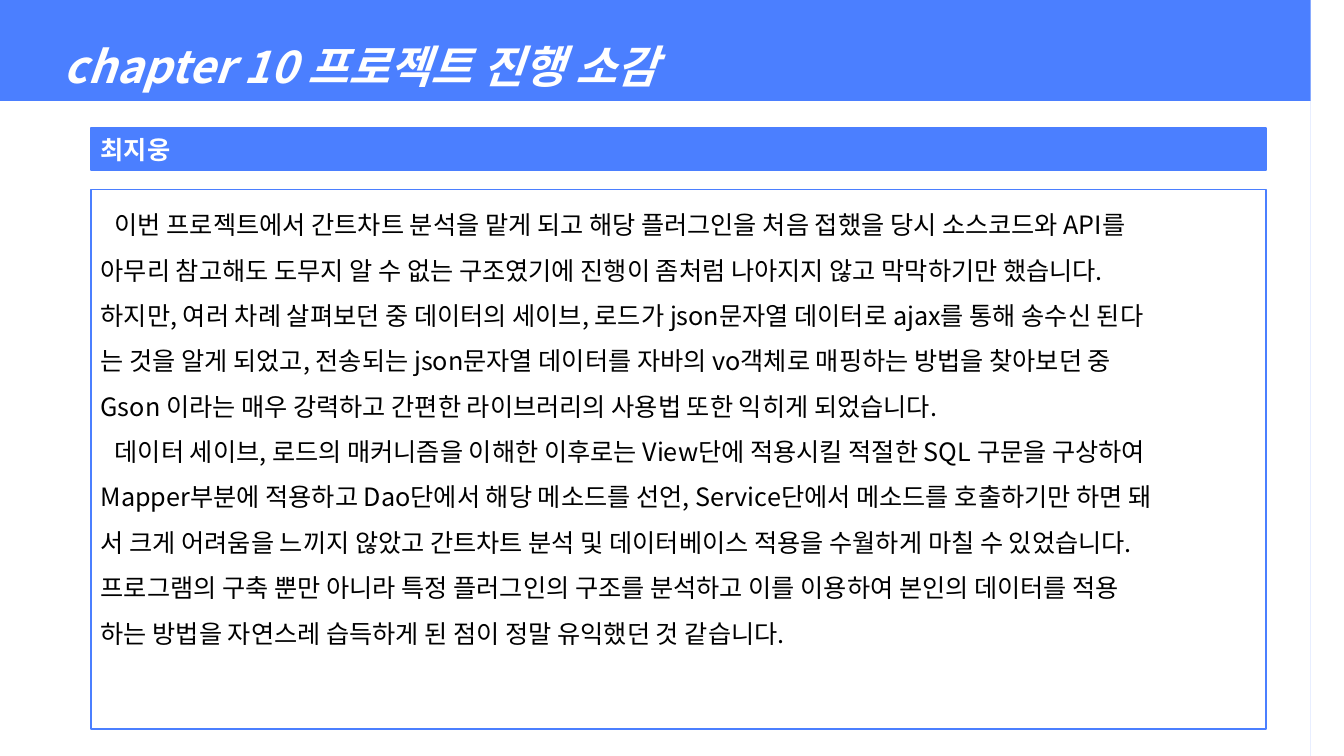
from math import cos, pi, sin

from lxml.etree import SubElement
from pptx import Presentation
from pptx.dml.color import RGBColor
from pptx.enum.shapes import MSO_SHAPE as Shape
from pptx.enum.text import MSO_ANCHOR as Anchor, PP_ALIGN as Align
from pptx.oxml.ns import qn
from pptx.util import Inches, Pt

WIDTH, HEIGHT = 13.33, 7.5
HANG = 0.38
OPENING_INDENT = 0.14

# Each line of the essay, with True where a passage opens
ESSAY = [
    (True, "이번 프로젝트에서 간트차트 분석을 맡게 되고 해당 플러그인을 처음 접했을 당시 소스코드와 API를"),
    (False, "아무리 참고해도 도무지 알 수 없는 구조였기에 진행이 좀처럼 나아지지 않고 막막하기만 했습니다."),
    (False, "하지만, 여러 차례 살펴보던 중 데이터의 세이브, 로드가 json문자열 데이터로 ajax를 통해 송수신 된다"),
    (False, "는 것을 알게 되었고, 전송되는 json문자열 데이터를 자바의 vo객체로 매핑하는 방법을 찾아보던 중"),
    (False, "Gson 이라는 매우 강력하고 간편한 라이브러리의 사용법 또한 익히게 되었습니다."),
    (True, "데이터 세이브, 로드의 매커니즘을 이해한 이후로는 View단에 적용시킬 적절한 SQL 구문을 구상하여"),
    (False, "Mapper부분에 적용하고 Dao단에서 해당 메소드를 선언, Service단에서 메소드를 호출하기만 하면 돼"),
    (False, "서 크게 어려움을 느끼지 않았고 간트차트 분석 및 데이터베이스 적용을 수월하게 마칠 수 있었습니다."),
    (False, "프로그램의 구축 뿐만 아니라 특정 플러그인의 구조를 분석하고 이를 이용하여 본인의 데이터를 적용"),
    (False, "하는 방법을 자연스레 습득하게 된 점이 정말 유익했던 것 같습니다."),
]


def color(value):
    return RGBColor.from_string(value)


class ChapterPage:
    FONT = "Noto Sans CJK KR"
    BLUE, WHITE, BLACK = "4B7FFF", "FFFFFF", "000000"

    def __init__(self, deck):
        self.shapes = deck.slides.add_slide(deck.slide_layouts[6]).shapes

    def paint(self, shape, fill=None, line=None):
        shape.shadow.inherit = False
        if fill:
            shape.fill.solid()
            shape.fill.fore_color.rgb = color(fill)
        else:
            shape.fill.background()
        if line:
            shape.line.color.rgb = color(line)
            shape.line.width = Pt(1.25)
        else:
            shape.line.fill.background()

    def frame(self, left, top, radius):
        """Blue border around a white sheet with two rounded top corners."""
        right = WIDTH - left
        steps = [pi / 2 * step / 12 for step in range(13)]
        right_arc = [(right - radius + radius * cos(a), top + radius - radius * sin(a)) for a in steps]
        left_arc = [(WIDTH - x, y) for x, y in reversed(right_arc)]
        outline = [(WIDTH, 0), (WIDTH, HEIGHT), (right, HEIGHT), *right_arc,
                   *left_arc, (left, HEIGHT), (0, HEIGHT)]
        builder = self.shapes.build_freeform(0, 0, scale=Inches(1))
        builder.add_line_segments(outline, close=True)
        self.paint(builder.convert_to_shape(), self.BLUE)

    def panel(self, kind, left, top, width, height, fill=None, line=None, anchor=Anchor.MIDDLE):
        box = self.shapes.add_shape(kind, Inches(left), Inches(top), Inches(width), Inches(height))
        self.paint(box, fill, line)
        box.text_frame.word_wrap = True
        box.text_frame.vertical_anchor = anchor
        return box

    def set_text(self, para, text, size, ink, bold=False, italic=False, align=Align.LEFT, spacing=1.0):
        para.text = text
        para.alignment = align
        para.line_spacing = spacing
        font = para.font
        font.name, font.size, font.bold, font.italic = self.FONT, Pt(size), bold, italic
        font.color.rgb = color(ink)
        properties = para._p.pPr.find(qn("a:defRPr"))
        SubElement(properties, qn("a:ea")).set("typeface", self.FONT)

    def essay(self, box, lines):
        text_frame = box.text_frame
        for index, (opens, text) in enumerate(lines):
            para = text_frame.add_paragraph() if index else text_frame.paragraphs[0]
            indent = OPENING_INDENT - HANG if opens else -HANG
            properties = para._p.get_or_add_pPr()
            properties.set("marL", str(Inches(HANG)))
            properties.set("indent", str(Inches(indent)))
            self.set_text(para, text, 18, self.BLACK, align=Align.JUSTIFY, spacing=1.5)


def main():
    deck = Presentation()
    deck.slide_width, deck.slide_height = Inches(WIDTH), Inches(HEIGHT)
    page = ChapterPage(deck)

    # Border and chapter title
    page.frame(left=0.48, top=1.02, radius=0.14)
    title = page.panel(Shape.ROUND_2_SAME_RECTANGLE, 0.5, 0.07, 12.33, 0.87)
    title.adjustments[0] = 0.137
    page.set_text(title.text_frame.paragraphs[0], "chapter 10 프로젝트 진행 소감", 32,
                  page.WHITE, bold=True, italic=True, spacing=1.5)

    # Name bar
    name = page.panel(Shape.RECTANGLE, 0.9, 1.27, 11.66, 0.42, page.BLUE, page.BLUE)
    page.set_text(name.text_frame.paragraphs[0], "최지웅", 18, page.WHITE, bold=True)

    # Essay
    body = page.panel(Shape.RECTANGLE, 0.9, 1.88, 11.66, 5.35, page.WHITE, page.BLUE, Anchor.TOP)
    page.essay(body, ESSAY)

    deck.save("out.pptx")


if __name__ == "__main__":
    main()
